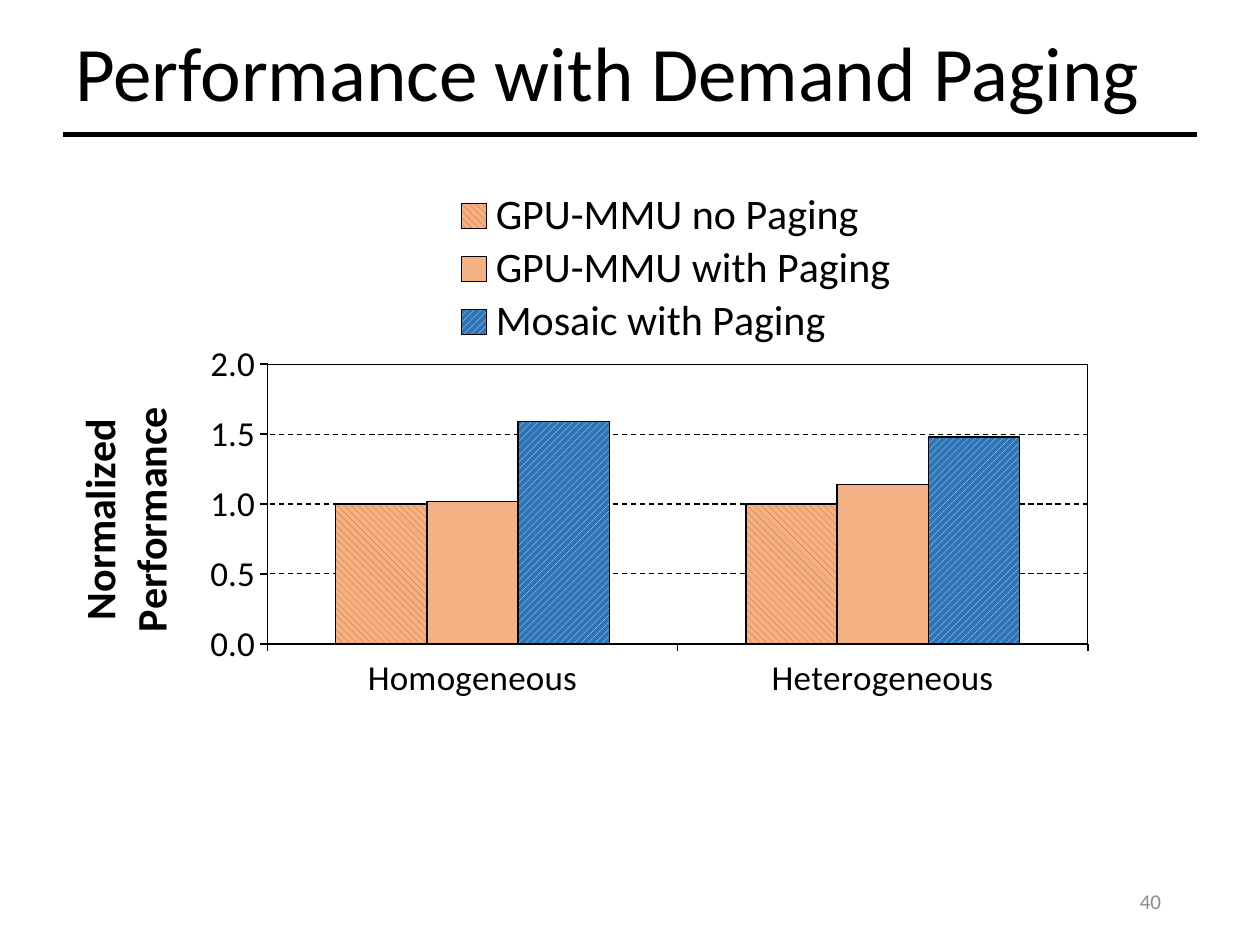
"""Build the slide on performance with demand paging."""
from lxml.etree import SubElement as Sub
from pptx import Presentation
from pptx.chart.data import CategoryChartData as Data
from pptx.dml.color import RGBColor
from pptx.enum.chart import XL_CHART_TYPE as Kind, XL_LEGEND_POSITION as Side
from pptx.enum.chart import XL_TICK_MARK as Tick
from pptx.enum.dml import MSO_LINE as Dash, MSO_PATTERN as Pat
from pptx.enum.shapes import MSO_CONNECTOR as Link
from pptx.enum.text import MSO_ANCHOR as Anchor, PP_ALIGN as Align
from pptx.oxml import parse_xml
from pptx.oxml.ns import nsdecls, qn
from pptx.util import Pt


def rgb(code):
    return RGBColor.from_string(code)


def write(frame, text, size, color="000000", bold=False, align=None, space=None):
    frame.text = text
    for para in frame.paragraphs:
        para.alignment = align
        para.line_spacing = space
        font = para.runs[0].font
        font.name, font.size, font.bold = "Calibri", Pt(size), bold
        font.color.rgb = rgb(color)


deck = Presentation()
deck.slide_width, deck.slide_height = Pt(720), Pt(540)
slide = deck.slides.add_slide(deck.slide_layouts[6])
shapes = slide.shapes

for text, box, style in (
    ("Performance with Demand Paging", (36, 10, 672.5, 67),
     dict(size=44, space=0.9)),
    ("40", (508.5, 500.5, 162, 28.75),
     dict(size=12, color="8C8C8C", align=Align.RIGHT)),
):
    frame = shapes.add_textbox(*map(Pt, box)).text_frame
    frame.word_wrap = True
    frame.vertical_anchor = Anchor.MIDDLE
    write(frame, text, **style)

rule = shapes.add_connector(Link.STRAIGHT, Pt(36), Pt(77), Pt(684), Pt(77))
rule.line.color.rgb = rgb("000000")
rule.line.width = Pt(3)
Sub(rule._element.spPr, qn("a:effectLst"))

rows = (
    ("GPU-MMU no Paging", (1, 1), "F4B183", Pat.WIDE_DOWNWARD_DIAGONAL, "C55A11"),
    ("GPU-MMU with Paging", (1.02, 1.14), "F4B183", None, None),
    ("Mosaic with Paging", (1.59, 1.48), "2E75B6", Pat.WIDE_UPWARD_DIAGONAL, "DEEBF7"),
)
data = Data()
data.categories = "Homogeneous", "Heterogeneous"
for name, vals, *_ in rows:
    data.add_series(name, vals)
chart = shapes.add_chart(Kind.COLUMN_CLUSTERED, Pt(13), Pt(104.4),
                         Pt(672.5), Pt(340.5), data).chart
chart.has_title = False
chart.font.name, chart.font.size = "Calibri", Pt(24)
chart.font.color.rgb = rgb("000000")

plot = chart.plots[0]
plot.gap_width, plot.overlap = 150, 0
plot.vary_by_categories = False
for bar, (_, _, back, hatch, fore) in zip(plot.series, rows):
    fill = bar.format.fill
    if hatch:
        fill.patterned()
        fill.pattern = hatch
        fill.fore_color.rgb, fill.back_color.rgb = rgb(fore), rgb(back)
    else:
        fill.solid()
        fill.fore_color.rgb = rgb(back)
    bar.format.line.color.rgb = rgb("000000")
    bar.format.line.width = Pt(0.75)

cats, scale = chart.category_axis, chart.value_axis
for axis in (cats, scale):
    axis.major_tick_mark, axis.minor_tick_mark = Tick.OUTSIDE, Tick.NONE
    axis.tick_labels.font.size = Pt(20)
    axis.format.line.color.rgb = rgb("000000")
    axis.format.line.width = Pt(1)
scale.minimum_scale, scale.maximum_scale, scale.major_unit = 0, 2, 0.5
scale.tick_labels.number_format = "#,##0.0"
scale.tick_labels.number_format_is_linked = False
grid = scale.major_gridlines.format.line
grid.color.rgb, grid.width, grid.dash_style = rgb("000000"), Pt(0.75), Dash.DASH
title = scale.axis_title
write(title.text_frame, "Normalized\nPerformance", 24, bold=True)

chart.has_legend = True
legend = chart.legend
legend.position, legend.include_in_layout = Side.RIGHT, False
legend.font.size = Pt(24)

area = chart._chartSpace.chart.plotArea
for node, index, inner, place in (
    (area, 0, True, dict(x=0.208, y=0.305, w=0.697, h=0.469)),
    (legend._element, 1, False, dict(x=0.36, y=0.01, w=0.39, h=0.27)),
    (title._element, 1, False, dict(x=0.04, y=0.37)),
):
    for old in node.findall(qn("c:layout")):
        node.remove(old)
    layout = parse_xml(f"<c:layout {nsdecls('c')}/>")
    node.insert(index, layout)
    manual = Sub(layout, qn("c:manualLayout"))
    if inner:
        Sub(manual, qn("c:layoutTarget"), val="inner")
    for key in "xy":
        Sub(manual, qn(f"c:{key}Mode"), val="edge")
    for key, val in place.items():
        Sub(manual, qn(f"c:{key}"), val=str(val))
area.append(parse_xml(
    f'<c:spPr {nsdecls("c", "a")}><a:noFill/><a:ln w="9525"><a:solidFill>'
    '<a:srgbClr val="000000"/></a:solidFill></a:ln></c:spPr>'))

deck.save("out.pptx")
